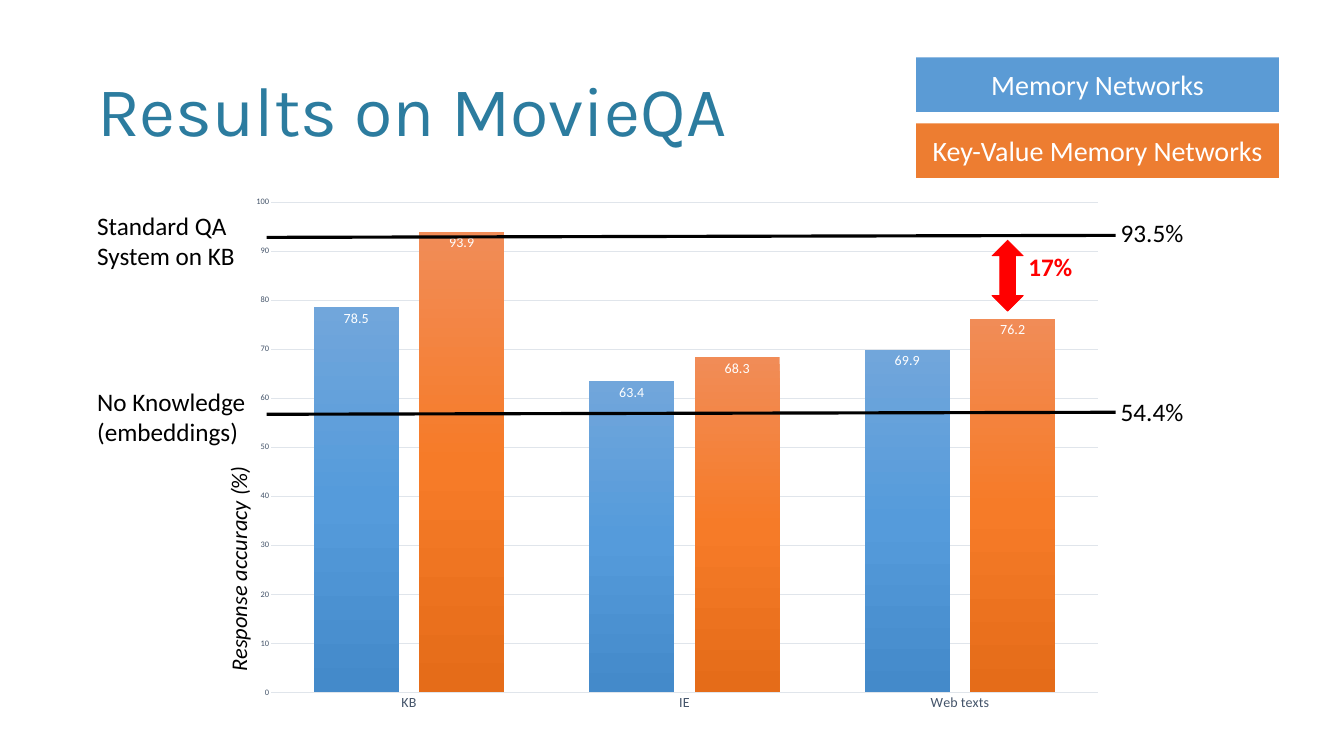
from dataclasses import dataclass

from lxml import etree
from pptx import Presentation
from pptx import oxml
from pptx.chart.data import CategoryChartData
from pptx.dml.color import RGBColor
from pptx.enum import chart as charts, shapes, text
from pptx.oxml import ns
from pptx.util import Inches, Pt

BLACK, WHITE, RED = "000000", "FFFFFF", "FF0000"
AXIS_TEXT, GRID = "44546A", "E0E5EB"
FONT = "Calibri"


@dataclass
class Series:
    name: str
    values: tuple[float, ...]
    gradient: tuple[str, str, str]


@dataclass
class Baseline:
    lines: tuple[str, ...]
    label_top: float
    value: str
    value_top: float
    start: float
    end: float


@dataclass
class LegendBox:
    caption: str
    top: float
    fill: str


SERIES = [
    Series("Series 1", (78.5, 63.4, 69.9), ("71A6DB", "559BDB", "448ACA")),
    Series("Series 2", (93.9, 68.3, 76.2), ("F18C57", "F67B28", "E56C19")),
]
BASELINES = [
    Baseline(("No Knowledge", "(embeddings)"), 7.61, "54.4%", 7.81, 8.22, 8.18),
    Baseline(("Standard QA", "System on KB"), 4.12, "93.5%", 4.27, 4.71, 4.67),
]
LEGEND = [
    LegendBox("Memory Networks", 1.14, "5B9BD5"),
    LegendBox("Key-Value Memory Networks", 2.45, "ED7D31"),
]


def rgb(value: str) -> RGBColor:
    return RGBColor.from_string(value)


def set_font(font, size: float, color: str, name: str = FONT) -> None:
    font.size, font.name = Pt(size), name
    font.color.rgb = rgb(color)


def write(shape, *lines: str, size: float = 36, color: str = BLACK, name: str = FONT,
          bold: bool = False, italic: bool = False, align=text.PP_ALIGN.LEFT,
          anchor=text.MSO_ANCHOR.TOP, spacing: float = 1.0) -> None:
    frame = shape.text_frame
    frame.word_wrap = True
    frame.vertical_anchor = anchor
    for index, line in enumerate(lines):
        paragraph = frame.add_paragraph() if index else frame.paragraphs[0]
        paragraph.alignment, paragraph.line_spacing = align, spacing
        run = paragraph.add_run()
        run.text = line
        set_font(run.font, size, color, name)
        run.font.bold, run.font.italic = bold, italic


def add_text(slide, left: float, top: float, width: float, height: float,
             *lines: str, rotation: float = 0, **style):
    box = slide.shapes.add_textbox(Inches(left), Inches(top), Inches(width), Inches(height))
    box.rotation = rotation
    write(box, *lines, **style)
    return box


def add_shape(slide, kind, left: float, top: float, width: float, height: float, fill: str):
    shape = slide.shapes.add_shape(kind, Inches(left), Inches(top), Inches(width), Inches(height))
    shape.shadow.inherit = False
    shape.fill.solid()
    shape.fill.fore_color.rgb = rgb(fill)
    shape.line.fill.background()
    return shape


def fill_gradient(series, colors: tuple[str, ...]) -> None:
    """Fill the bars from top to bottom with evenly spaced stops."""
    step = 100000 // (len(colors) - 1)
    stops = "".join(f'<a:gs pos="{index * step}"><a:srgbClr val="{color}"/></a:gs>'
                    for index, color in enumerate(colors))
    gradient = oxml.parse_xml(f'<a:gradFill {ns.nsdecls("a")} rotWithShape="1"><a:gsLst>{stops}'
                              '</a:gsLst><a:lin ang="5400000" scaled="0"/></a:gradFill>')
    series.format.fill.solid()
    properties = series.format.fill._xPr
    properties.replace(properties.find(ns.qn("a:solidFill")), gradient)


def set_plot_area(chart, **fractions: float) -> None:
    area = chart._chartSpace.chart.plotArea
    for old in area.findall(ns.qn("c:layout")):
        area.remove(old)
    layout = etree.Element(ns.qn("c:layout"))
    manual = etree.SubElement(layout, ns.qn("c:manualLayout"))
    settings = {"layoutTarget": "inner", "xMode": "edge", "yMode": "edge", **fractions}
    for tag, value in settings.items():
        etree.SubElement(manual, ns.qn(f"c:{tag}")).set("val", str(value))
    area.insert(0, layout)


def add_accuracy_chart(slide) -> None:
    data = CategoryChartData()
    data.categories = ["KB", "IE", "Web texts"]
    for item in SERIES:
        data.add_series(item.name, item.values)
    chart = slide.shapes.add_chart(charts.XL_CHART_TYPE.COLUMN_CLUSTERED, Inches(4.72), Inches(3.7),
                                   Inches(17.43), Inches(10.64), data).chart
    chart.has_legend = chart.has_title = False
    set_font(chart.font, 10, BLACK)
    set_plot_area(chart, x=0.038, y=0.029, w=0.941, h=0.914)

    # Axes
    for axis, size in ((chart.category_axis, 20), (chart.value_axis, 12)):
        axis.major_tick_mark = axis.minor_tick_mark = charts.XL_TICK_MARK.NONE
        set_font(axis.tick_labels.font, size, AXIS_TEXT)
    value_axis = chart.value_axis
    value_axis.minimum_scale, value_axis.maximum_scale, value_axis.major_unit = 0, 100, 10
    value_axis.format.line.fill.background()
    value_axis.has_major_gridlines = True
    for line in (chart.category_axis.format.line, value_axis.major_gridlines.format.line):
        line.color.rgb, line.width = rgb(GRID), Pt(0.75)

    # Bars and their values
    plot = chart.plots[0]
    plot.gap_width, plot.overlap, plot.vary_by_categories = 100, -24, False
    for series, item in zip(plot.series, SERIES):
        fill_gradient(series, item.gradient)
        labels = series.data_labels
        labels.show_value = True
        labels.position = charts.XL_LABEL_POSITION.INSIDE_END
        set_font(labels.font, 20, WHITE)


def add_baseline(slide, item: Baseline) -> None:
    line = slide.shapes.add_connector(shapes.MSO_CONNECTOR.STRAIGHT, Inches(5.29), Inches(item.start),
                                      Inches(22.14), Inches(item.end))
    line.line.color.rgb, line.line.width = rgb(BLACK), Pt(4.5)
    etree.SubElement(line._element.spPr, ns.qn("a:effectLst"))
    add_text(slide, 1.83, item.label_top, 4.72, 1.31, *item.lines)
    add_text(slide, 22.14, item.value_top, 4.72, 0.71, item.value)


def add_legend_box(slide, item: LegendBox) -> None:
    box = add_shape(slide, shapes.MSO_SHAPE.RECTANGLE, 18.18, item.top, 7.2, 1.08, item.fill)
    write(box, item.caption, size=40, color=WHITE, align=text.PP_ALIGN.CENTER,
          anchor=text.MSO_ANCHOR.MIDDLE)


def main() -> None:
    presentation = Presentation()
    presentation.slide_width, presentation.slide_height = Inches(26.67), Inches(15)
    slide = presentation.slides.add_slide(presentation.slide_layouts[6])

    add_text(slide, 1.83, 0.8, 23, 2.9, "Results on MovieQA", size=100, color="2C7C9F",
             name="Karla", anchor=text.MSO_ANCHOR.MIDDLE, spacing=0.9)
    add_accuracy_chart(slide)
    for baseline in BASELINES:
        add_baseline(slide, baseline)

    # Remaining gap to the standard system
    arrow = add_shape(slide, shapes.MSO_SHAPE.LEFT_RIGHT_ARROW, 19.29, 5.16, 1.41, 0.62, RED)
    arrow.rotation = 90
    arrow.line.color.rgb, arrow.line.width = rgb(RED), Pt(1)
    add_text(slide, 20.31, 4.94, 4.72, 0.71, "17%", color=RED, bold=True)

    # Legend and axis title
    for item in LEGEND:
        add_legend_box(slide, item)
    add_text(slide, 2.13, 10.5, 5.2, 0.64, "Response accuracy (%)", rotation=270, size=32, italic=True)

    presentation.save("out.pptx")


if __name__ == "__main__":
    main()
